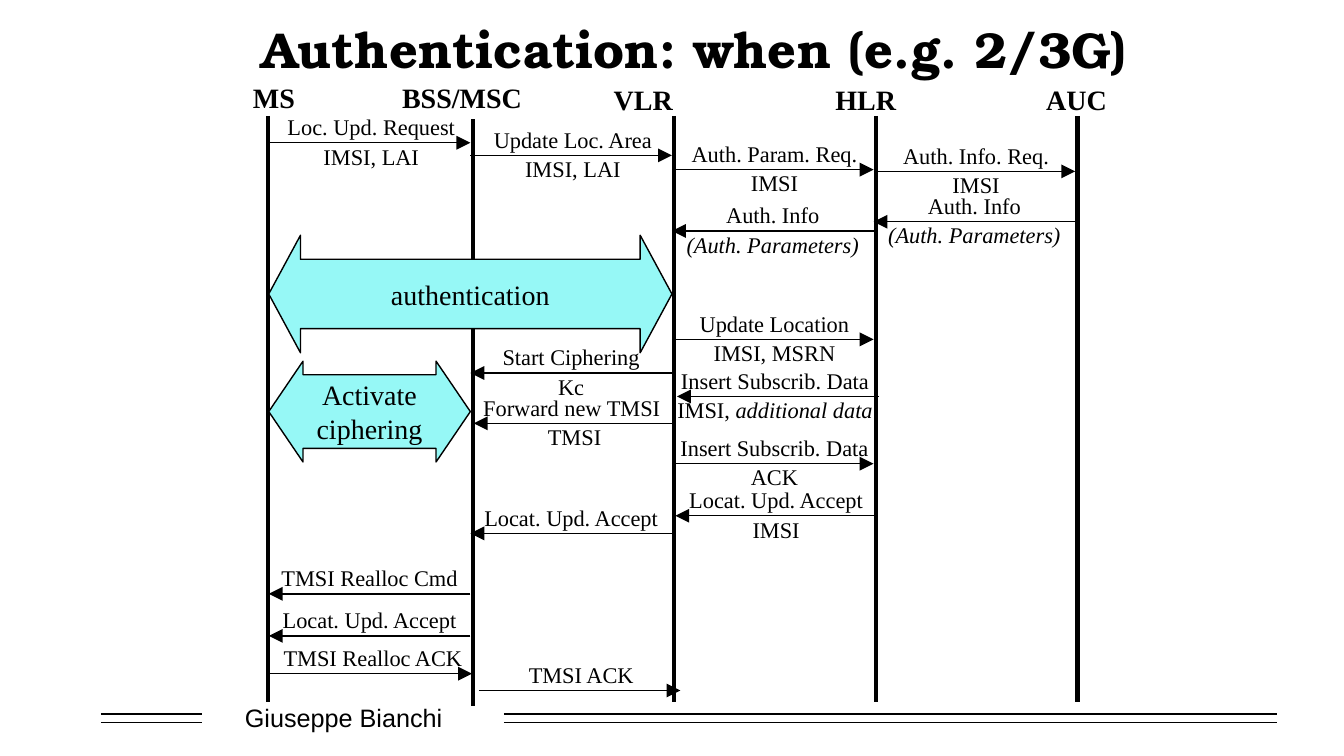
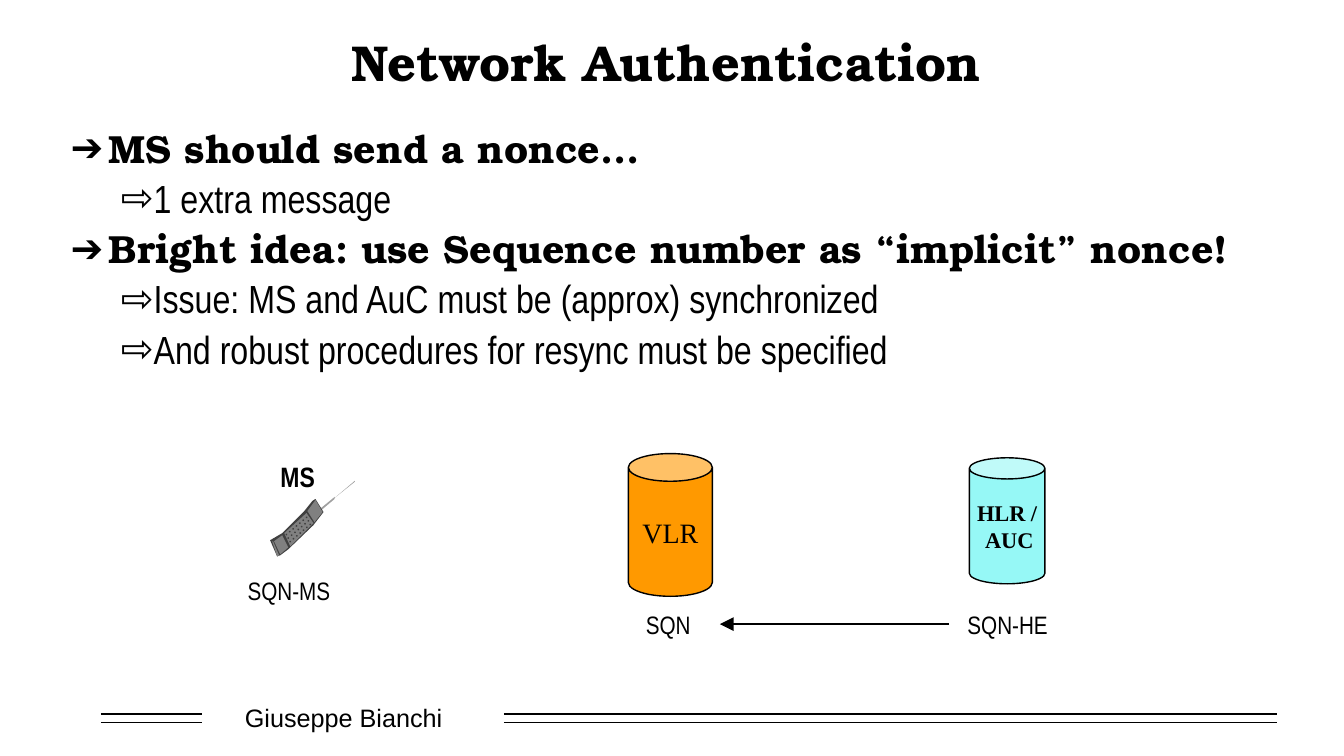
from dataclasses import dataclass
from itertools import product
from lxml import etree
from pptx import Presentation
from pptx import util as u
from pptx.dml.color import RGBColor
from pptx.enum import shapes, text
from pptx.oxml.ns import qn

WIDE, HIGH = u.Inches(40 / 3), u.Inches(7.5)
COLS, ROWS = 80, 45
LANE, PITCH, SPAN = 16, 12, 15
FORM = shapes.MSO_SHAPE
MID = text.PP_ALIGN.CENTER
LEFT = text.PP_ALIGN.LEFT
FIT = text.MSO_AUTO_SIZE


@dataclass(frozen=True)
class Theme:
    ink: str = "000000"
    paper: str = "FFFFFF"
    aqua: str = "96F8F6"
    amber: str = "FF9900"
    dark: str = "404040"
    gray: str = "808080"
    pale: str = "A0A0A0"
    slab: str = "TeX Gyre Bonum"
    serif: str = "Times New Roman"
    sans: str = "Arial"
    slim: str = "Arial Narrow"
    title: int = 36
    body: int = 28
    head: int = 20
    tag: int = 18
    note: int = 16
    thin: int = 1
    thick: int = 3


T = Theme()


def col(n):
    return u.Emu(round(WIDE * n / COLS))


def row(n):
    return u.Emu(round(HIGH * n / ROWS))


def area(x, y, w, h):
    return col(x), row(y), col(w), row(h)


def ink(tone):
    return RGBColor.from_string(tone)


def put(par, runs, font, size, bold=False):
    for words, slant in [(runs, False)] if isinstance(runs, str) else runs:
        for k, part in enumerate(words.split("\n")):
            if k:
                par.add_line_break()
            run = par.add_run()
            run.text = part
            run.font.name, run.font.size = font, u.Pt(size)
            run.font.bold, run.font.italic = bold, slant
            run.font.color.rgb = ink(T.ink)


def write(frame, lines, font, size, bold=False, align=LEFT, lead=None):
    for k, runs in enumerate(lines):
        par = frame.add_paragraph() if k else frame.paragraphs[0]
        par.alignment = align
        if lead:
            par.line_spacing = lead
        put(par, runs, font, size, bold)


def label(slide, box, lines, font, size, **style):
    frame = slide.shapes.add_textbox(*area(*box)).text_frame
    frame.word_wrap = False
    frame.auto_size = FIT.SHAPE_TO_FIT_TEXT
    write(frame, lines, font, size, **style)


def paint(shape, fill, edge=None):
    shape.shadow.inherit = False
    shape.fill.solid()
    shape.fill.fore_color.rgb = ink(fill)
    if edge:
        shape.line.color.rgb = ink(edge)
        shape.line.width = u.Pt(T.thin)
    else:
        shape.line.fill.background()


def solid(slide, form, box, fill, lines=(), size=T.head, adj=(), bold=False):
    shape = slide.shapes.add_shape(form, *area(*box))
    paint(shape, fill, T.ink if lines else None)
    for k, part in enumerate(adj):
        shape.adjustments[k] = part
    frame = shape.text_frame
    frame.word_wrap = False
    frame.vertical_anchor = text.MSO_ANCHOR.MIDDLE
    write(frame, lines, T.serif, size, bold, MID)


def patch(slide, spots, fill):
    first, *rest = [(col(x), row(y)) for x, y in spots]
    pen = slide.shapes.build_freeform(*first, scale=1.0)
    pen.add_line_segments(rest, close=True)
    paint(pen.convert_to_shape(), fill)


def rule(slide, start, end, width=T.thin, arrow=False):
    line = slide.shapes.add_connector(
        shapes.MSO_CONNECTOR.STRAIGHT, col(start[0]), row(start[1]), col(end[0]), row(end[1]))
    line.line.color.rgb = ink(T.ink)
    line.line.width = u.Pt(width)
    props = line.element.spPr
    if arrow:
        etree.SubElement(props.find(qn("a:ln")), qn("a:tailEnd"), type="triangle", w="lg", len="lg")
    etree.SubElement(props, qn("a:effectLst"))
    return line


def send(slide, start, end, y, lines, shift=0):
    left, right = (LANE + PITCH * k + shift for k in (start, end))
    rule(slide, (left, y), (right, y), arrow=True)
    tall = 4.15 if len(lines) > 1 else 2.3
    nudge = 0.1 if start < end else 0
    box = ((left + right - SPAN) / 2 + nudge, y - 2.22, SPAN, tall)
    label(slide, box, lines, T.serif, T.note, align=MID, lead=1.1)


def footer(deck, slide):
    name = slide.shapes.add_shape(FORM.RECTANGLE, *area(12, 41.5, 17.33, 2.4))
    paint(name, T.paper)
    frame = name.text_frame
    frame.word_wrap = True
    frame.auto_size = FIT.SHAPE_TO_FIT_TEXT
    frame.vertical_anchor = text.MSO_ANCHOR.MIDDLE
    write(frame, ["Giuseppe Bianchi "], T.sans, T.tag, align=MID)
    bars = [rule(slide, (a, y), (b, y)) for y, (a, b) in product((42.5, 43), ((6, 12), (30, 76)))]
    for k, shape in enumerate([name, *bars]):
        shape.element.xpath(".//p:cNvPr")[0].set("id", str(100 + k))
        deck.slide_master.shapes.element.append(shape.element)


def head(slide, words, box):
    title = slide.shapes.title
    title.left, title.top, title.width, title.height = area(*box)
    frame = title.text_frame
    frame.auto_size = FIT.NONE
    frame.vertical_anchor = text.MSO_ANCHOR.MIDDLE
    write(frame, [words], T.slab, T.title, True, MID)


def points(slide, box, items):
    body = slide.placeholders[1]
    body.left, body.top, body.width, body.height = area(*box)
    frame = body.text_frame
    frame.auto_size = FIT.NONE
    looks = ((T.slab, True, "➔", 0.38, 0.38), (T.slim, False, "⇨", 0.81, 0.31))
    for k, (level, words) in enumerate(items):
        font, bold, mark, margin, hang = looks[level]
        par = frame.add_paragraph() if k else frame.paragraphs[0]
        par.level, par.line_spacing = level, 0.9
        put(par, words, font, T.body, bold)
        props = par._p.get_or_add_pPr()
        props.set("marL", str(u.Inches(margin)))
        props.set("indent", str(-u.Inches(hang)))
        tone = etree.SubElement(props, qn("a:buClr"))
        etree.SubElement(tone, qn("a:srgbClr"), val=T.ink)
        etree.SubElement(props, qn("a:buChar"), char=mark)


def phone(slide):
    patch(slide, [(21.12, 28.62), (19.92, 29.64), (19.92, 29.58), (18.6, 30.66),
                  (18.78, 30.66), (19.92, 29.7), (19.92, 29.64), (21.12, 28.68)], T.pale)
    solid(slide, FORM.OVAL, (18.72, 30.48, 0.12, 0.18), T.gray)
    patch(slide, [(18.6, 29.82), (18.12, 30.42), (16.8, 31.74), (16.08, 32.16), (16.5, 33.12),
                  (16.68, 33.06), (17.16, 32.7), (18.66, 31.26), (19.26, 30.48), (18.78, 29.7)], T.dark)
    edge = [(16.26, 32.22), (16.2, 32.22), (16.5, 33.12), (16.62, 33.06)]
    foot = [(16.32, 32.22), (16.68, 33), (17.16, 32.58), (16.8, 31.86)]
    top = [(18.78, 29.76), (18.3, 30.42), (18.72, 31.08), (19.2, 30.48)]
    pad = [(16.92, 31.74), (17.28, 32.52), (18.66, 31.14), (18.24, 30.54)]
    for spots in (edge, foot, top, pad):
        patch(slide, spots, T.gray)
    for j, i in product(range(3), range(7)):
        solid(slide, FORM.OVAL, (18.2 - 0.2 * i + 0.11 * j, 30.75 + 0.17 * i + 0.21 * j, 0.1, 0.1), T.dark)


def flow(slide):
    head(slide, "Authentication: when (e.g. 2/3G)", (14.5, 1.5, 53.65, 2.7))
    lanes = [("MS", 14.46, 4.5, 3.72, -0.04, 6.9), ("BSS/MSC", 23.34, 4.5, 8.34, 0.14, 7.1),
             ("VLR", 35.94, 4.62, 4.74, 0.14, 6.9), ("HLR", 49.14, 4.62, 4.8, 0.14, 6.9),
             ("AUC", 61.68, 4.62, 4.86, 0.14, 6.9)]
    for k, (name, x, y, wide, shift, top) in enumerate(lanes):
        spot = LANE + PITCH * k + shift
        rule(slide, (spot, top), (spot, top + 34.9), T.thick)
        label(slide, (x, y, wide, 2.58), [name], T.serif, T.head, bold=True)
    both = FORM.LEFT_RIGHT_ARROW
    solid(slide, both, (LANE, 14, 2 * PITCH, 7), T.aqua, ["authentication"], adj=(0.59, 0.27))
    solid(slide, both, (LANE, 21.5, PITCH, 6), T.aqua, ["Activate\nciphering"], adj=(0.73, 0.34))
    keys = [("(Auth. Parameters)", True)]
    more = [("IMSI, ", False), ("additional data ", True)]
    done = "Locat. Upd. Accept"
    for step in [
        (0, 1, 8.5, ["Loc. Upd. Request", "IMSI, LAI"]),
        (1, 2, 9.25, ["Update Loc. Area", "IMSI, LAI"]),
        (2, 3, 10.1, ["Auth. Param. Req.", "IMSI"]),
        (3, 4, 10.2, ["Auth. Info. Req.", "IMSI"]),
        (4, 3, 13.2, ["Auth. Info", keys]),
        (3, 2, 13.75, ["Auth. Info", keys]),
        (2, 3, 20.2, ["Update Location", "IMSI, MSRN"]),
        (3, 2, 23.6, ["Insert Subscrib. Data ", more], 0.3),
        (2, 3, 27.6, ["Insert Subscrib. Data", "ACK"]),
        (3, 2, 30.7, [done, "IMSI"], 0.2),
        (2, 1, 22.2, ["Start Ciphering", "Kc"]),
        (2, 1, 31.75, [done]),
        (2, 1, 25.2, ["Forward new TMSI ", "TMSI"], 0.2),
        (1, 0, 35.35, ["TMSI Realloc Cmd"]),
        (1, 0, 37.85, [done]),
        (0, 1, 40.1, ["TMSI Realloc ACK"], 0.1),
        (1, 2, 41.1, ["TMSI ACK"], 0.5),
    ]:
        send(slide, *step)


def nonce(slide):
    head(slide, "Network Authentication", (6, 1.5, 67.33, 4.25))
    points(slide, (3.6, 7.4, 73, 19.6), [
        (0, "MS should send a nonce…"),
        (1, "1 extra message"),
        (0, "Bright idea: use Sequence number as “implicit” nonce!"),
        (1, "Issue: MS and AuC must be (approx) synchronized"),
        (1, "And robust procedures for resync must be specified"),
    ])
    solid(slide, FORM.CAN, (57.7, 27.25, 4.5, 7.5), T.aqua, ["HLR /", " AUC"], T.note, (0.28,), True)
    phone(slide)
    label(slide, (16.1, 27.05, 3.25, 2.6), ["MS"], T.slim, T.head, bold=True)
    solid(slide, FORM.CAN, (37.4, 27, 5, 8.5), T.amber, ["VLR"], adj=(0.33,))
    for words, x, y, wide in (("SQN-MS", 14.15, 33.95, 6.1), ("SQN", 37.85, 35.95, 3.9),
                              ("SQN-HE", 57, 35.95, 6)):
        label(slide, (x, y, wide, 2.4), [words], T.slim, T.tag)
    rule(slide, (56.5, 37.15), (42.85, 37.15), arrow=True)


def main():
    deck = Presentation()
    deck.slide_width, deck.slide_height = WIDE, HIGH
    first = deck.slides.add_slide(deck.slide_layouts[5])
    footer(deck, first)
    flow(first)
    nonce(deck.slides.add_slide(deck.slide_layouts[1]))
    deck.save("out.pptx")


main()
